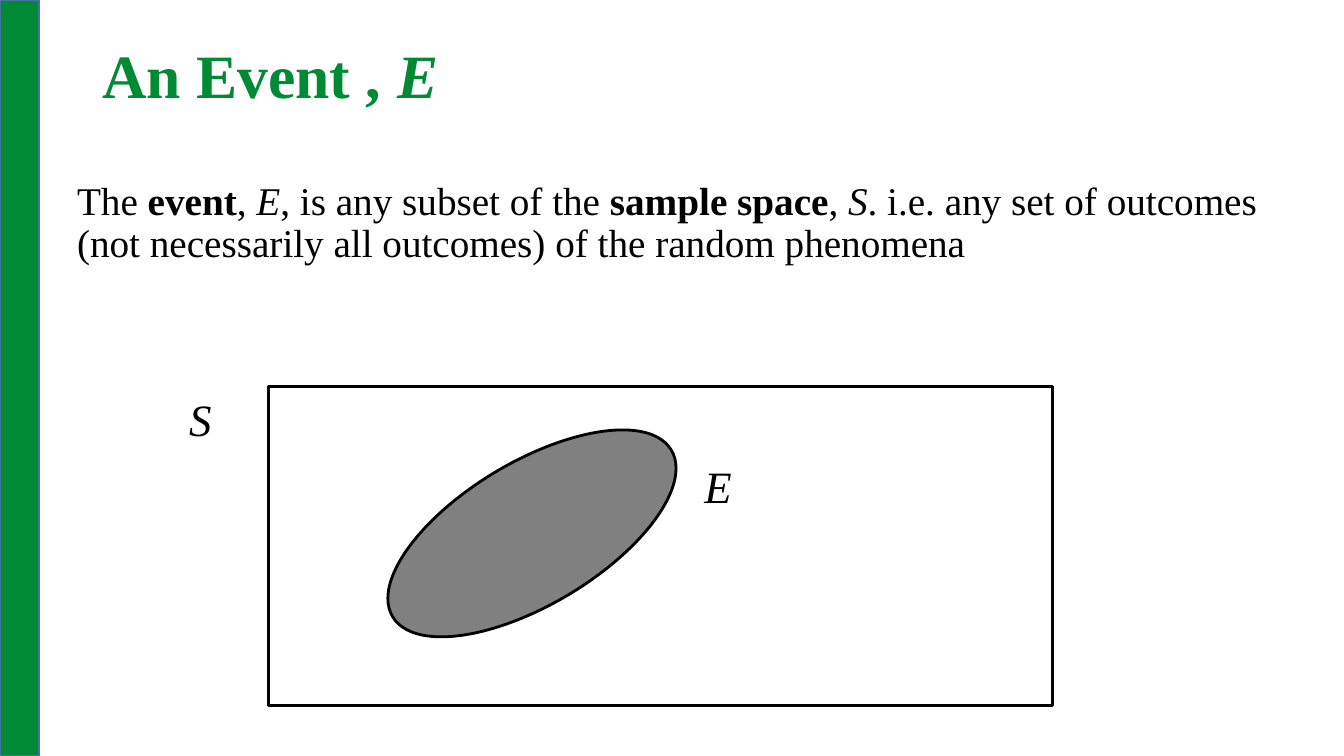
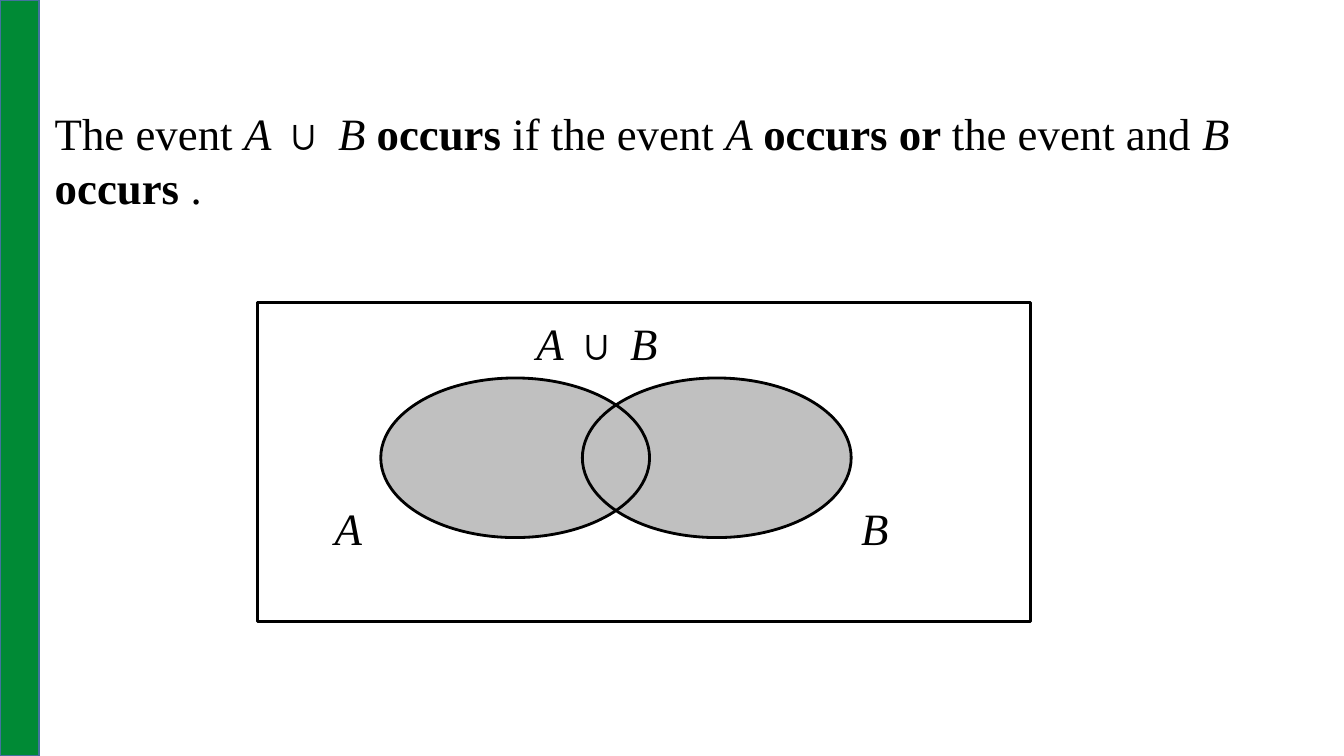
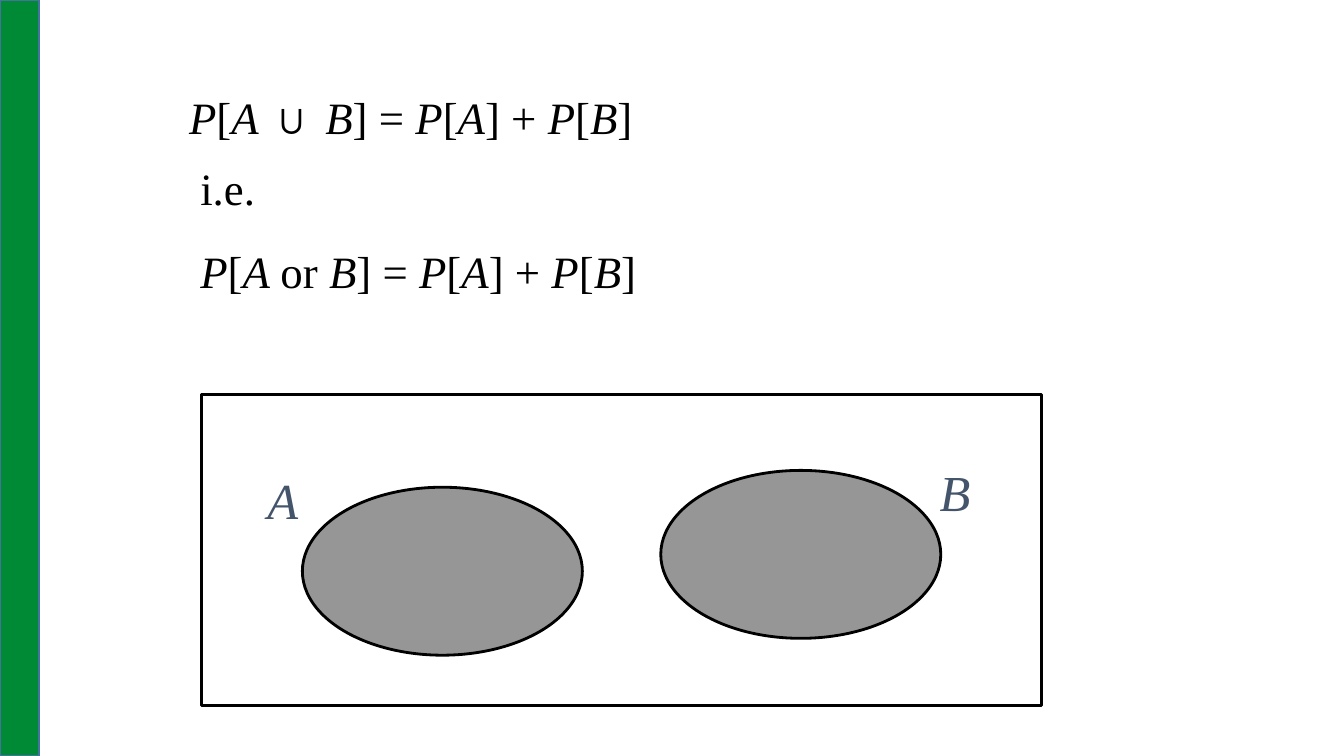
import pptx
import pptx.dml.color
import pptx.enum.shapes
import pptx.enum.text
import pptx.util

COLORS = {"green": "008A35", "band edge": "43739E", "black": "000000", "slate": "44546A",
          "dark grey": "808080", "mid grey": "969696", "light grey": "C0C0C0"}
FONT = "Times New Roman"
RECTANGLE = pptx.enum.shapes.MSO_SHAPE.RECTANGLE
OVAL = pptx.enum.shapes.MSO_SHAPE.OVAL
TOP = pptx.enum.text.MSO_ANCHOR.TOP
MIDDLE = pptx.enum.text.MSO_ANCHOR.MIDDLE

deck = pptx.Presentation()
deck.slide_width = pptx.util.Inches(13.33)
deck.slide_height = pptx.util.Inches(7.5)
COLUMN = deck.slide_width / 120
ROW = deck.slide_height / 90


def add_figure(page, kind, cells, fill=None, edge="black", weight=2):
    """Draw a shape; cells are its left, top, width and height on the grid."""
    left, top, width, height = cells
    figure = page.shapes.add_shape(kind, int(left * COLUMN), int(top * ROW),
                                   int(width * COLUMN), int(height * ROW))
    figure.shadow.inherit = False
    if fill:
        figure.fill.solid()
        figure.fill.fore_color.rgb = pptx.dml.color.RGBColor.from_string(COLORS[fill])
    else:
        figure.fill.background()
    if edge:
        figure.line.color.rgb = pptx.dml.color.RGBColor.from_string(COLORS[edge])
        figure.line.width = pptx.util.Pt(weight)
    else:
        figure.line.fill.background()
    return figure


def add_text(page, cells, text, size=32, color="black", anchor=TOP, spacing=None, bold=False):
    """Write one paragraph; *stars* mark italic spans and _underscores_ bold ones."""
    left, top, width, height = cells
    box = page.shapes.add_textbox(int(left * COLUMN), int(top * ROW),
                                  int(width * COLUMN), int(height * ROW))
    box.text_frame.word_wrap = True
    box.text_frame.vertical_anchor = anchor
    para = box.text_frame.paragraphs[0]
    para.line_spacing = spacing
    para.font.name = FONT
    para.font.size = pptx.util.Pt(size)
    para.font.bold = bold
    para.font.color.rgb = pptx.dml.color.RGBColor.from_string(COLORS[color])
    for bold_index, chunk in enumerate(text.split("_")):
        for italic_index, part in enumerate(chunk.split("*")):
            if part:
                span = para.add_run()
                span.text = part
                if bold_index % 2:
                    span.font.bold = True
                if italic_index % 2:
                    span.font.italic = True


blank = deck.slide_layouts[6]
event_page, union_page, addition_page = [deck.slides.add_slide(blank) for _ in range(3)]

# The green band belongs to the master, so every slide shows it.
band = add_figure(event_page, RECTANGLE, (0, 0, 3.5, 90), "green", "band edge", 1)
deck.slide_master.shapes.element.append(band.element)

# An event inside the sample space
add_text(event_page, (8.25, 4.8, 103.5, 9.1), "An Event , *E*", 44, "green", MIDDLE, 0.9, True)
add_text(event_page, (6, 21, 108, 21),
         "The _event_, *E*, is any subset of the _sample space_, *S*. i.e. any set of outcomes "
         "(not necessarily all outcomes) of the random phenomena", 28, spacing=0.9)
add_figure(event_page, RECTANGLE, (24, 46, 70, 38))
event = add_figure(event_page, OVAL, (33, 55, 29, 17), "dark grey")
event.rotation = 329.1
add_text(event_page, (16, 46, 11, 7), "*S*")
add_text(event_page, (62, 54, 11, 7), "*E*")

# The union of two overlapping events: fills first, so both outlines stay visible
add_text(union_page, (4, 12, 110, 14),
         "The event *A *∪ *B *_occurs _if the event *A *_occurs or _the event and *B *_occurs _.")
add_figure(union_page, RECTANGLE, (23, 36, 69, 38))
for fill, edge in (("light grey", None), (None, "black")):
    for left in (34, 52):
        add_figure(union_page, OVAL, (left, 45, 24, 19), fill, edge)
add_text(union_page, (47, 37, 16, 7), "*A *∪ *B*")
for left, name in ((29, "A"), (76, "B")):
    add_text(union_page, (left, 59, 6, 7), f"*{name}*")

# The addition rule for two disjoint events
add_figure(addition_page, RECTANGLE, (18, 47, 75, 37))
for left, top, label_left, name in ((27, 58, 23, "A"), (59, 56, 83, "B")):
    add_figure(addition_page, OVAL, (left, top, 25, 20), "mid grey")
    label_top = 54 if name == "A" else 53
    add_text(addition_page, (label_left, label_top, 13, 11), f"*{name}*", 36, "slate", MIDDLE)
total = "*P*[*A*] + *P*[*B*]"
for left, top, text in ((16, 10.1, f"*P*[*A *∪ *B*] = {total}"),
                        (17, 18.5, "i.e."),
                        (17, 28.4, f"*P*[*A *or *B*] = {total}")):
    add_text(addition_page, (left, top, 86.25, 8.6), text)

deck.save("out.pptx")
